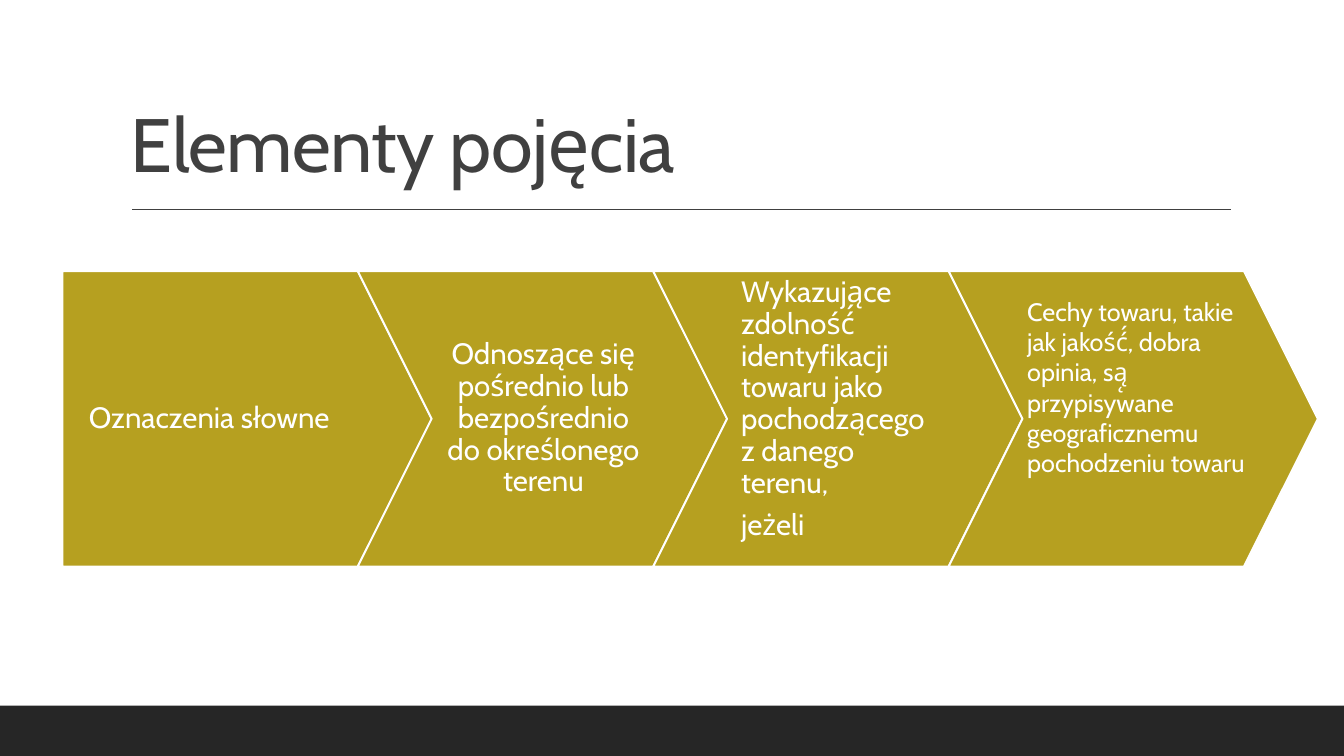
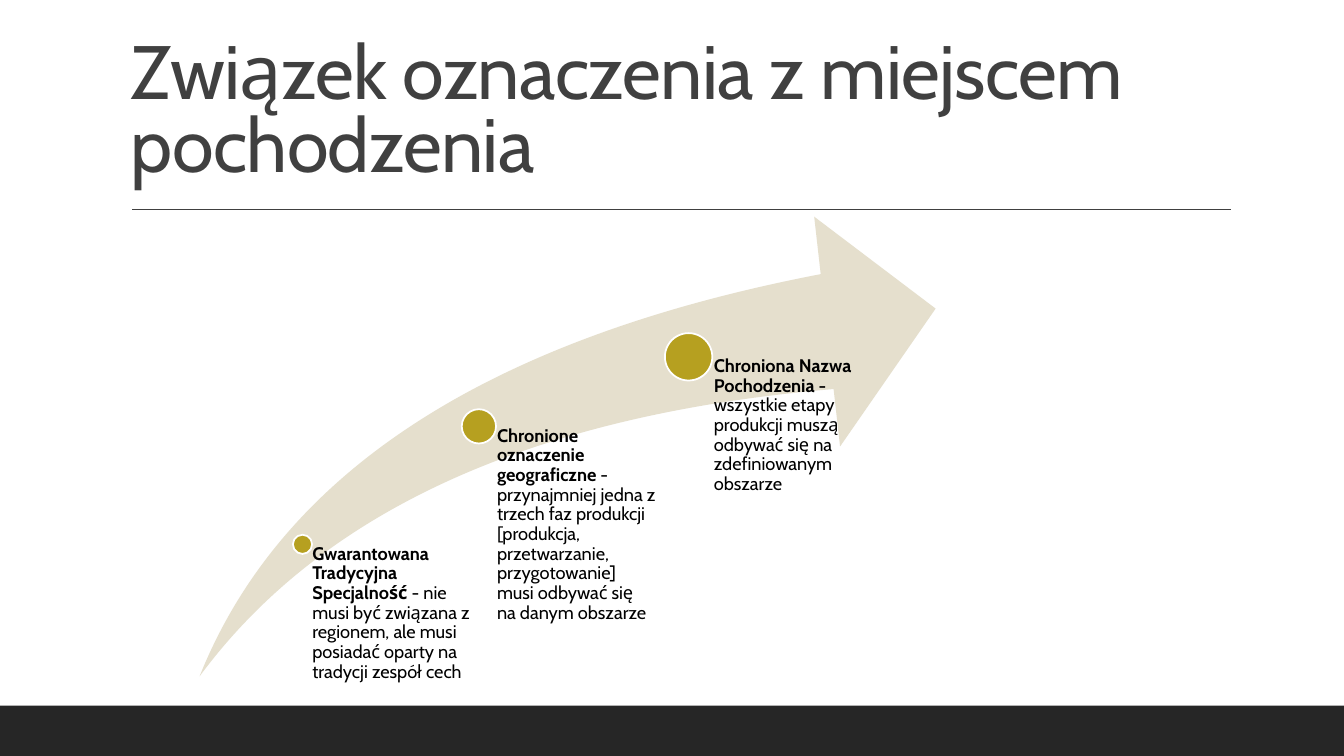
"""Builds two slides on geographical indications: their elements and their link with the place of origin."""
from lxml import etree
from pptx import Presentation
from pptx import util as u
from pptx.dml.color import RGBColor
from pptx.enum import shapes, text
from pptx.oxml.ns import qn

FONT, GOLD, SAND, WHITE, BLACK = "Cabin", "B6A020", "E5DFCD", "FFFFFF", "000000"
DARK, GREY = "262626", "404040"
SHAPE, ALIGN, ANCHOR = shapes.MSO_SHAPE, text.PP_ALIGN, text.MSO_ANCHOR


def draw(slide, preset, box, fill, outline=None, adjustments=()):
    shape = slide.shapes.add_shape(preset, *map(u.Inches, box))
    shape.shadow.inherit = False
    for i, value in enumerate(adjustments):
        shape.adjustments[i] = value
    shape.fill.solid()
    shape.fill.fore_color.rgb = RGBColor.from_string(fill)
    if outline:
        shape.line.color.rgb = RGBColor.from_string(outline)
        shape.line.width = u.Pt(1.25)
    else:
        shape.line.fill.background()


def write(slide, box, paragraphs, size, color, insets=(0.1, 0.05, 0.1, 0.05),
          anchor=ANCHOR.TOP, align=ALIGN.LEFT, spacing=0.9):
    frame = slide.shapes.add_textbox(*map(u.Inches, box)).text_frame
    frame.word_wrap = True
    frame.vertical_anchor = anchor
    (frame.margin_left, frame.margin_top,
     frame.margin_right, frame.margin_bottom) = map(u.Inches, insets)
    frame.text = "\n".join("".join(parts) for parts in paragraphs)
    for paragraph, parts in zip(frame.paragraphs, paragraphs):
        paragraph.alignment = align
        paragraph.line_spacing = spacing
        if spacing == 0.9:
            paragraph.space_after = u.Pt(size * 0.35)
        paragraph.runs[0].text = parts[0]
        for part in parts[1:]:
            paragraph.add_run().text = part
        for i, run in enumerate(paragraph.runs):
            run.font.name = FONT
            run.font.size = u.Pt(size)
            run.font.bold = len(parts) > 1 and i == 0
            run.font.color.rgb = RGBColor.from_string(color)
    return frame


deck = Presentation()
deck.slide_width, deck.slide_height = u.Inches(13.33), u.Inches(7.5)

for heading in ("Elementy pojęcia", "Związek oznaczenia z miejscem pochodzenia"):
    slide = deck.slides.add_slide(deck.slide_layouts[6])
    draw(slide, SHAPE.RECTANGLE, (0, 7, 13.33, 0.5), DARK)
    rule = slide.shapes.add_connector(
        shapes.MSO_CONNECTOR.STRAIGHT, *map(u.Inches, (1.31, 2.08, 12.21, 2.08)))
    rule.line.color.rgb = RGBColor.from_string(GREY)
    rule.line.width = u.Pt(1)
    etree.SubElement(rule._element.spPr, qn("a:effectLst"))
    title = write(slide, (1.2, 0.31, 11, 1.59), [(heading,)], 54, GREY,
                  anchor=ANCHOR.BOTTOM, spacing=0.8)
    title.paragraphs[0].runs[0].font._element.set("spc", "-50")

elements, origin = deck.slides

STEP_TOP, STEP_HEIGHT = 2.69, 2.93
for i in range(4):
    preset = SHAPE.CHEVRON if i else SHAPE.PENTAGON
    draw(elements, preset, (0.62 + 2.93 * i, STEP_TOP, 3.66, STEP_HEIGHT),
         GOLD, WHITE, [0.25])

step_insets = (0.13, 0.06, 0.13, 0.06)
write(elements, (0.62, STEP_TOP, 3.3, STEP_HEIGHT), [("Oznaczenia słowne",)], 21, WHITE,
      (0.13, 0.06, 0.52, 0.06), ANCHOR.MIDDLE, ALIGN.CENTER)
write(elements, (4.29, STEP_TOP, 2.2, STEP_HEIGHT),
      [("Odnoszące się pośrednio lub bezpośrednio do określonego terenu",)], 21, WHITE,
      step_insets, ANCHOR.MIDDLE, ALIGN.CENTER)
write(elements, (7.22, STEP_TOP, 2.2, STEP_HEIGHT),
      [("Wykazujące zdolność́ identyfikacji towaru jako pochodzącego z danego terenu,",),
       ("jeżeli",)], 21, WHITE, step_insets)
write(elements, (10.09, 2.89, 2.47, 2.52),
      [("Cechy towaru, takie jak jakość́, dobra opinia, są̨ przypisywane geograficznemu",),
       ("pochodzeniu towaru",)], 18, WHITE, spacing=1.0)

draw(origin, SHAPE.SWOOSH_ARROW, (1.98, 2.15, 7.3, 4.56), SAND, adjustments=[0.25, 0.25])

ARROW_BOTTOM = 6.71
protections = [
    (3.0, 5.4, 0.19, 1.7, 0.1, "Gwarantowana Tradycyjna Specjalność ",
     "- nie musi być związana z regionem, ale musi posiadać oparty na tradycji zespół cech"),
    (4.75, 4.23, 0.34, 1.75, 0.18, "Chronione oznaczenie geograficzne ",
     "- przynajmniej jedna z trzech faz produkcji [produkcja, przetwarzanie, przygotowanie] "
     "musi odbywać się na danym obszarze"),
    (6.83, 3.54, 0.47, 1.75, 0.25, "Chroniona Nazwa Pochodzenia - ",
     "wszystkie etapy produkcji muszą odbywać się na zdefiniowanym obszarze"),
]
for x, y, diameter, width, indent, name, condition in protections:
    draw(origin, SHAPE.OVAL, (x - diameter / 2, y - diameter / 2, diameter, diameter),
         GOLD, WHITE)
    write(origin, (x, y, width, ARROW_BOTTOM - y), [(name, condition)], 13, BLACK,
          (indent, 0, 0, 0))

deck.save("out.pptx")
